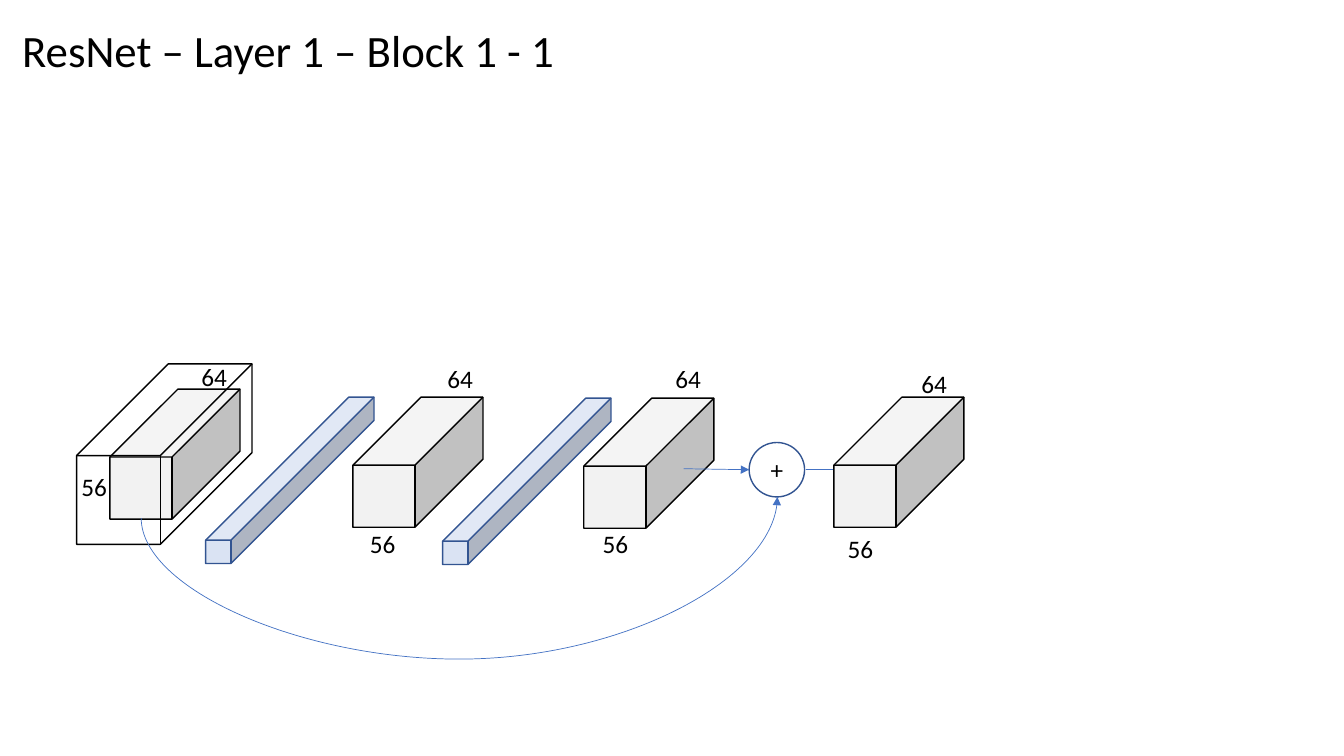
from lxml.etree import SubElement
from pptx import Presentation
from pptx.dml.color import RGBColor
from pptx.enum.shapes import MSO_CONNECTOR as LINK, MSO_SHAPE as SHAPE
from pptx.enum.text import MSO_ANCHOR, MSO_AUTO_SIZE, PP_ALIGN
from pptx.oxml.ns import qn
from pptx.util import Pt

PX = 9144
FONT = "Calibri"
BLACK, BLUE, NAVY = "000000", "4472C4", "325491"
TITLE = "ResNet – Layer 1 – Block 1 - 1"

FEATURE = dict(w=129, h=129, depth=0.523, fill="F2F2F2", line=BLACK)
PADDING = dict(w=174, h=179, depth=0.523, fill=None, line=BLACK)
KERNEL = dict(w=167, h=165, depth=0.86, fill="DAE3F3", line=NAVY)
CUBES = [(109, 386, FEATURE), (76, 361, PADDING), (350, 394, FEATURE),
         (204, 394, KERNEL), (439, 395, KERNEL), (579, 395, FEATURE)]
OUTPUT = (827, 394, FEATURE)
SUM = (743, 439, 55, 54)
ARROWS = [(678, 465, 743, 466), (799, 466, 854, 466)]
SKIP = (466, 819, 445, 188)
SKIP_BEND = -666900
LABELS = {
    "64": [(190, 354), (434, 356), (660, 356), (904, 361)],
    "56": [(71, 463), (357, 519), (588, 519), (831, 524)],
}


def px(*lengths):
    """Turn lengths in px into EMU."""
    return [n * PX for n in lengths]


def color(value):
    """Turn a hex string into a colour."""
    return RGBColor.from_string(value)


def write(s, text, size, align=PP_ALIGN.LEFT, anchor=MSO_ANCHOR.TOP):
    """Put one formatted line of text in a shape."""
    tf = s.text_frame
    tf.text = text
    tf.word_wrap = False
    tf.auto_size = MSO_AUTO_SIZE.NONE
    tf.vertical_anchor = anchor
    p = tf.paragraphs[0]
    p.alignment = align
    font = p.runs[0].font
    font.name, font.size = FONT, Pt(size)
    font.color.rgb = color(BLACK)


def add_shape(shapes, kind, box, fill, line):
    """Add a flat outlined shape, filled or empty."""
    s = shapes.add_shape(kind, *px(*box))
    s.shadow.inherit = False
    if fill:
        s.fill.solid()
        s.fill.fore_color.rgb = color(fill)
    else:
        s.fill.background()
    s.line.color.rgb = color(line)
    s.line.width = Pt(1)
    return s


def add_cube(shapes, x, y, style):
    """Add a block of the given style."""
    box = (x, y, style["w"], style["h"])
    s = add_shape(shapes, SHAPE.CUBE, box, style["fill"], style["line"])
    s.adjustments[0] = style["depth"]


def add_arrow(shapes, kind, ends):
    """Add a thin connector with a triangle at its end."""
    c = shapes.add_connector(kind, *px(*ends))
    c.line.color.rgb = color(BLUE)
    c.line.width = Pt(0.5)
    SubElement(c.line._get_or_add_ln(), qn("a:tailEnd"), type="triangle")
    SubElement(c._element.spPr, qn("a:effectLst"))
    return c


def add_skip(shapes):
    """Add the skip connection as a curve turned by 90 degrees."""
    c = add_arrow(shapes, LINK.CURVE, SKIP)
    spPr = c._element.spPr
    spPr.find(qn("a:xfrm")).set("rot", str(90 * 60000))
    geom = spPr.find(qn("a:prstGeom"))
    guides = geom.find(qn("a:avLst"))
    if guides is None:
        guides = SubElement(geom, qn("a:avLst"))
    SubElement(guides, qn("a:gd"), name="adj1", fmla=f"val {SKIP_BEND}")


def main():
    """Build the slide and save it."""
    prs = Presentation()
    prs.slide_width, prs.slide_height = px(1333, 750)
    shapes = prs.slides.add_slide(prs.slide_layouts[5]).shapes

    title = shapes.title
    title.left, title.top, title.width, title.height = px(12, 18, 553, 64)
    write(title, TITLE, 32)

    for cube in CUBES:
        add_cube(shapes, *cube)
    plus = add_shape(shapes, SHAPE.OVAL, SUM, None, NAVY)
    write(plus, "+", 18, PP_ALIGN.CENTER, MSO_ANCHOR.MIDDLE)
    add_skip(shapes)
    for ends in ARROWS:
        add_arrow(shapes, LINK.STRAIGHT, ends)
    add_cube(shapes, *OUTPUT)

    for text, places in LABELS.items():
        for x, y in places:
            write(shapes.add_textbox(*px(x, y, 46, 40)), text, 18)

    prs.save("out.pptx")


if __name__ == "__main__":
    main()
